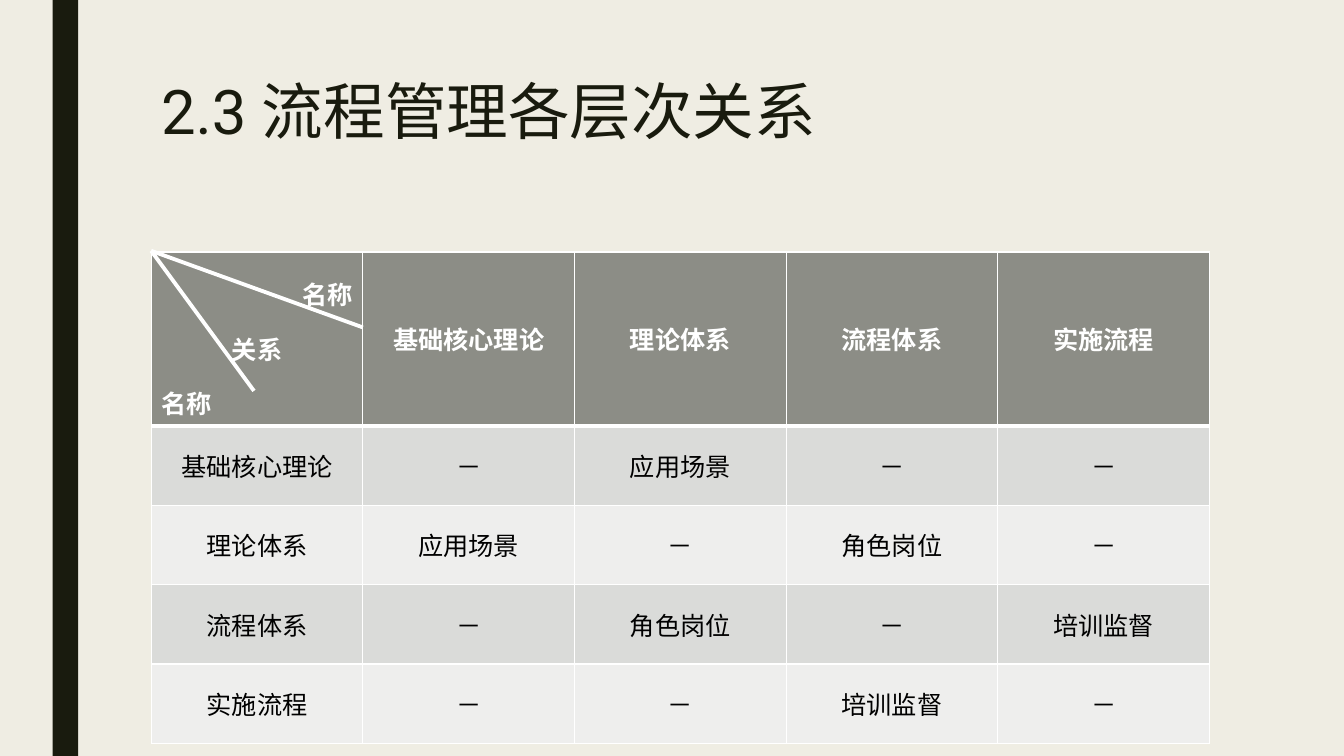
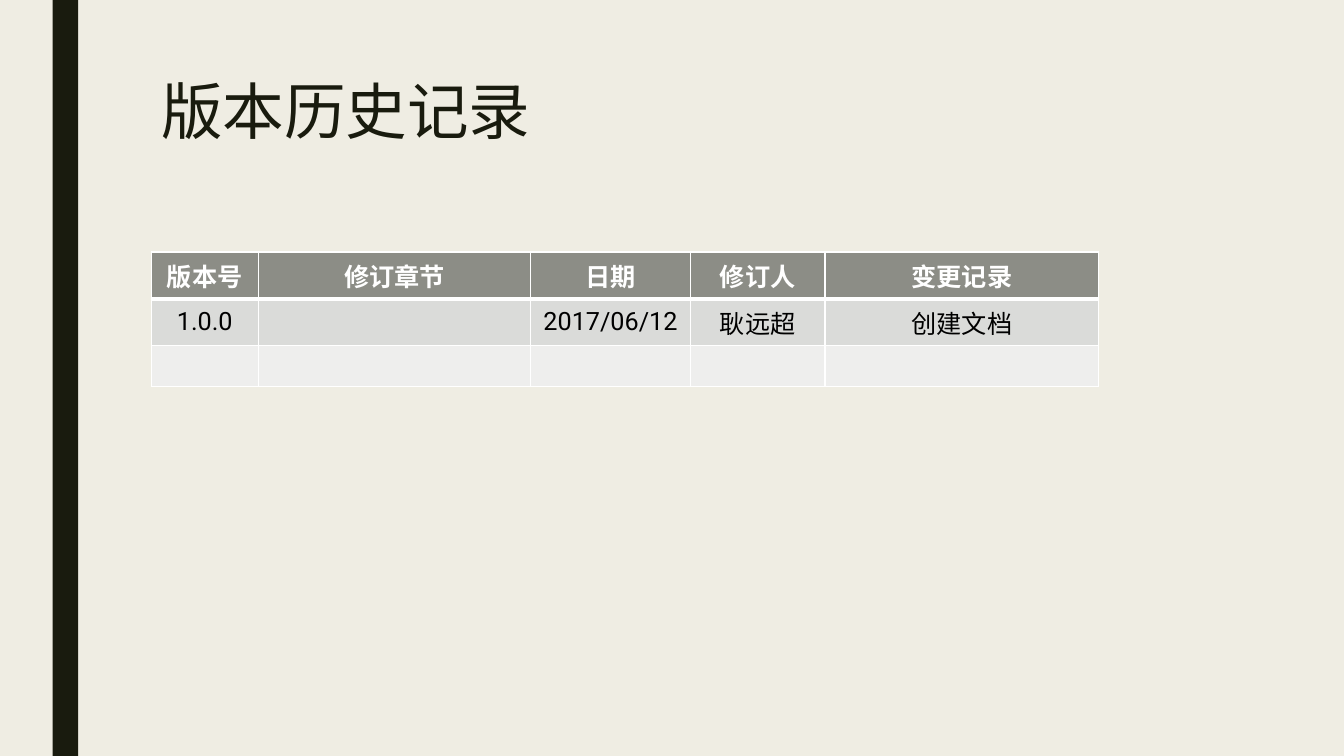
from pptx import Presentation
from pptx.dml.color import RGBColor
from pptx.enum import shapes, text
from pptx.oxml import ns, xmlchemy
from pptx.util import Cm, Pt

COLOURS = {
    "paper": "EFEDE3",
    "ink": "191B0E",
    "header": "8C8D86",
    "odd": "DADBD9",
    "even": "EEEEED",
    "white": "FFFFFF",
    "black": "000000",
}
FONT = "Roboto"
SLIDE = (33.87, 19.05)
BAND = (1.33, 0, 0.64, SLIDE[1])
TITLE = (3.81, 1.93, 26.67, 4.11)
TABLE_CORNER = (3.81, 6.35)
LEFT, CENTRE, RIGHT = (text.PP_ALIGN.LEFT, text.PP_ALIGN.CENTER, text.PP_ALIGN.RIGHT)
TITLE_FORMAT = {"size": Pt(44), "name": FONT, "bold": False}
HEADER_FORMAT = {"size": Pt(18), "name": FONT, "bold": True}
BODY_FORMAT = {**HEADER_FORMAT, "bold": False}


def colour(name):
    """Return the named colour."""
    return RGBColor.from_string(COLOURS[name])


def lengths(values):
    """Turn centimetre numbers into lengths."""
    return [Cm(value) for value in values]


def paint(target, name):
    """Give a shape, cell or background a solid fill."""
    target.fill.solid()
    target.fill.fore_color.rgb = colour(name)


def write(para, words, style, ink, align=LEFT, spacing=None):
    """Write one formatted span into a paragraph."""
    para.alignment = align
    para.line_spacing = spacing
    span = para.add_run()
    span.text = words
    for name, value in style.items():
        setattr(span.font, name, value)
    span.font.color.rgb = colour(ink)


def add_page(deck, title):
    """Add a page with the background, side band and title."""
    page = deck.slides.add_slide(deck.slide_layouts[6])
    paint(page.background, "paper")
    band = page.shapes.add_shape(shapes.MSO_SHAPE.RECTANGLE, *lengths(BAND))
    band.shadow.inherit = False
    paint(band, "ink")
    band.line.fill.background()
    box = page.shapes.add_textbox(*lengths(TITLE))
    box.text_frame.word_wrap = True
    write(box.text_frame.paragraphs[0], title, TITLE_FORMAT, "ink", spacing=0.89)
    return page


def add_borders(cell, bottom):
    """Draw white borders around a cell."""
    properties = cell._tc.get_or_add_tcPr()
    for side, width in {"L": 1, "R": 1, "T": 1, "B": bottom}.items():
        line = xmlchemy.OxmlElement(f"a:ln{side}")
        line.set("w", str(Pt(width)))
        fill = xmlchemy.OxmlElement("a:solidFill")
        tint = xmlchemy.OxmlElement("a:srgbClr")
        tint.set("val", COLOURS["white"])
        fill.append(tint)
        line.append(fill)
        properties.append(line)


def add_grid(page, corner, widths, heights, rows):
    """Add a table with a header row and alternating body rows."""
    box = (*corner, sum(widths), sum(heights))
    grid = page.shapes.add_table(len(rows), len(widths), *lengths(box)).table
    for column, width in zip(grid.columns, widths):
        column.width = Cm(width)
    for index, (row, height, entries) in enumerate(zip(grid.rows, heights, rows)):
        row.height = Cm(height)
        fill = "header" if index == 0 else ("even", "odd")[index % 2]
        style, ink = (BODY_FORMAT, "black") if index else (HEADER_FORMAT, "white")
        for cell, words in zip(row.cells, entries):
            add_borders(cell, 1 if index else 3)
            paint(cell, fill)
            cell.vertical_anchor = text.MSO_ANCHOR.MIDDLE
            if words:
                write(cell.text_frame.paragraphs[0], words, style, ink, CENTRE)
    return grid


def add_corner(page, grid, corner, width):
    """Label the split header cell and draw its two dividers."""
    cell = grid.cell(0, 0)
    cell.vertical_anchor = text.MSO_ANCHOR.TOP
    frame = cell.text_frame
    labels = [("名称", RIGHT), ("关系", CENTRE), ("名称", LEFT)]
    for index, (words, align) in enumerate(labels):
        para = frame.add_paragraph() if index else frame.paragraphs[0]
        write(para, words, HEADER_FORMAT, "white", align, 1.5)
    left, top = corner
    for across, down in [(width, 1.9), (2.59, 3.5)]:
        ends = lengths((left, top - 0.03, left + across, top + down))
        divider = page.shapes.add_connector(shapes.MSO_CONNECTOR.STRAIGHT, *ends)
        divider.line.color.rgb = colour("white")
        divider.line.width = Pt(2.75)
        divider._element.find(ns.qn("p:spPr")).append(
            xmlchemy.OxmlElement("a:effectLst"))


def add_relations(deck):
    """Add the page relating the levels of process management."""
    page = add_page(deck, "2.3 流程管理各层次关系")
    levels = ["基础核心理论", "理论体系", "流程体系", "实施流程"]
    links = ["应用场景", "角色岗位", "培训监督"]
    rows = [["", *levels]]
    for row, level in enumerate(levels):
        rows.append([level] + [
            links[min(row, column)] if abs(row - column) == 1 else "－"
            for column in range(len(levels))])
    width = TITLE[2] / len(rows)
    widths = [width] * len(rows)
    grid = add_grid(page, TABLE_CORNER, widths, [4.38] + [2.0] * 4, rows)
    add_corner(page, grid, TABLE_CORNER, width)


def add_history(deck):
    """Add the page listing the document versions."""
    page = add_page(deck, "版本历史记录")
    rows = [
        ["版本号", "修订章节", "日期", "修订人", "变更记录"],
        ["1.0.0", "", "2017/06/12", "耿远超", "创建文档"],
        [""] * 5,
    ]
    widths = [2.7, 6.86, 4.03, 3.39, 6.9]
    add_grid(page, TABLE_CORNER, widths, [1.18, 1.18, 1.03], rows)


def main():
    """Build and save the deck."""
    deck = Presentation()
    deck.slide_width, deck.slide_height = lengths(SLIDE)
    add_relations(deck)
    add_history(deck)
    deck.save("out.pptx")


if __name__ == "__main__":
    main()
